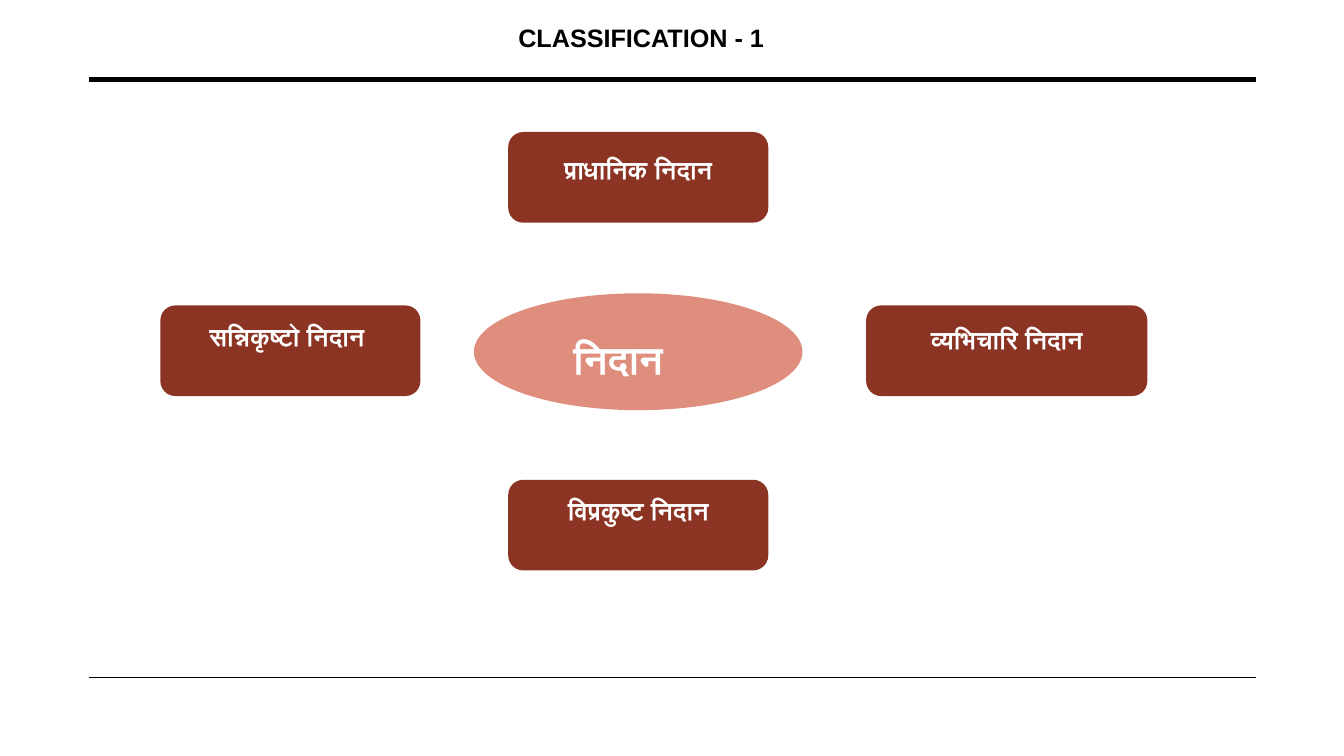
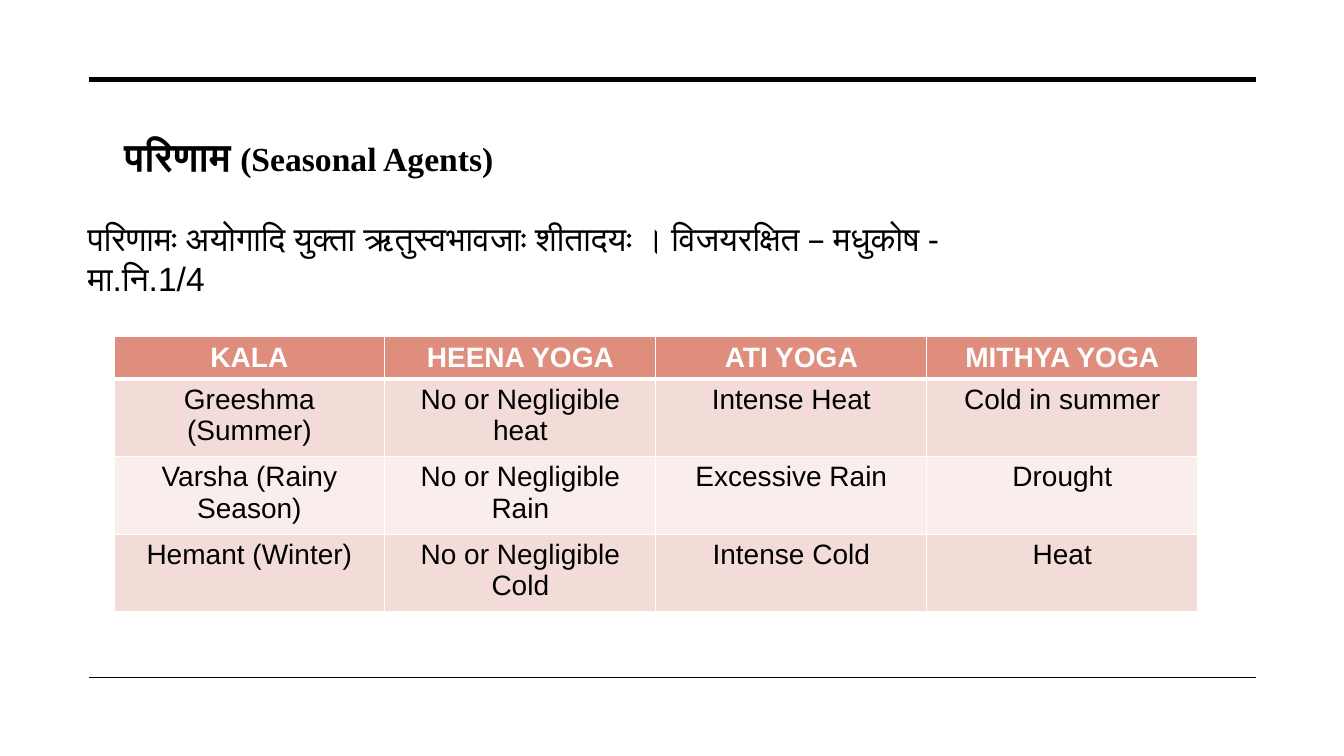
import dataclasses
import typing

import pptx
import pptx.dml.color
import pptx.enum.shapes
import pptx.enum.text
import pptx.oxml
import pptx.oxml.ns
import pptx.util

Inches = pptx.util.Inches
Pt = pptx.util.Pt
Shape = pptx.enum.shapes.MSO_SHAPE
Align = pptx.enum.text.PP_ALIGN
qn = pptx.oxml.ns.qn


@dataclasses.dataclass(frozen=True)
class Theme:
    ink: str = "000000"
    white: str = "FFFFFF"
    brick: str = "8C3423"
    coral: str = "DF8E7E"
    rose: str = "F3DBD8"
    blush: str = "F9EEEC"
    sans: str = "Arial"
    serif: str = "Times New Roman"
    label: int = 18
    cell: int = 20
    body: int = 24
    head: int = 28


class Rule(typing.NamedTuple):
    y: float
    width: float


class Part(typing.NamedTuple):
    text: str
    size: int
    face: str


class Node(typing.NamedTuple):
    text: str
    left: float
    top: float
    width: float
    height: float
    inset: tuple[float, float]
    kind: typing.Any = Shape.ROUNDED_RECTANGLE
    fill: str = Theme.brick
    size: int = Theme.label
    align: typing.Any = Align.CENTER


T = Theme()
RULES = (Rule(0.79, 3.5), Rule(6.72, 1))
NODES = (
    Node("निदान", 4.7, 2.91, 3.26, 1.16, (0.51, 0.25),
         Shape.OVAL, T.coral, T.head, Align.LEFT),
    Node("प्राधानिक निदान", 5.04, 1.31, 2.58, 0.9, (0.1, 0.18)),
    Node("सन्निकृष्टो निदान ", 1.59, 3.03, 2.58, 0.9, (0.1, 0.11)),
    Node("व्यभिचारि निदान", 8.59, 3.03, 2.79, 0.9, (0.1, 0.14)),
    Node("विप्रकुष्ट निदान", 5.04, 4.76, 2.58, 0.9, (0.1, 0.11)),
)
ROWS = (
    ("KALA", "HEENA YOGA", "ATI YOGA", "MITHYA YOGA"),
    ("Greeshma (Summer)", "No or Negligible heat", "Intense Heat",
     "Cold in summer"),
    ("Varsha (Rainy Season)", "No or Negligible Rain", "Excessive Rain",
     "Drought"),
    ("Hemant (Winter)", "No or Negligible Cold", "Intense Cold", "Heat"),
)


def rgb(code: str) -> pptx.dml.color.RGBColor:
    return pptx.dml.color.RGBColor.from_string(code)


def style(font: typing.Any, size: int, color: str, bold: bool = False) -> None:
    font.name = T.sans
    font.size = Pt(size)
    font.bold = bold
    font.color.rgb = rgb(color)


def frame(master: typing.Any, slide: typing.Any) -> None:
    for num, rule in enumerate(RULES, 20):
        line = slide.shapes.add_connector(
            pptx.enum.shapes.MSO_CONNECTOR.STRAIGHT,
            Inches(0.88), Inches(rule.y), Inches(12.46), Inches(rule.y))
        line.line.color.rgb = rgb(T.ink)
        line.line.width = Pt(rule.width)
        node = line.element
        node.find(qn("p:spPr")).append(
            pptx.oxml.parse_xml(
                f'<a:effectLst {pptx.oxml.ns.nsdecls("a")}/>'))
        node.find(f'{qn("p:nvCxnSpPr")}/{qn("p:cNvPr")}').set("id", str(num))
        master.shapes.element.append(node)


def place(hold: typing.Any, left: float, top: float,
          width: float, height: float) -> typing.Any:
    hold.left, hold.top = Inches(left), Inches(top)
    hold.width, hold.height = Inches(width), Inches(height)
    text = hold.text_frame
    text.auto_size = pptx.enum.text.MSO_AUTO_SIZE.NONE
    text.vertical_anchor = pptx.enum.text.MSO_ANCHOR.TOP
    text.word_wrap = True
    para = text.paragraphs[0]
    para.alignment = Align.LEFT
    para.space_before = Pt(0)
    return para


def draw(slide: typing.Any, node: Node) -> None:
    shape = slide.shapes.add_shape(
        node.kind, Inches(node.left), Inches(node.top),
        Inches(node.width), Inches(node.height))
    shape.shadow.inherit = False
    shape.fill.solid()
    shape.fill.fore_color.rgb = rgb(node.fill)
    shape.line.fill.background()
    text = shape.text_frame
    text.vertical_anchor = pptx.enum.text.MSO_ANCHOR.TOP
    text.margin_left, text.margin_top = map(Inches, node.inset)
    para = text.paragraphs[0]
    para.text = node.text
    para.alignment = node.align
    style(para.font, node.size, T.white, True)


def edge(cell: typing.Any, row: int) -> None:
    sides = {"L": 1, "R": 1, "T": 3 if row == 1 else 1,
             "B": 3 if row == 0 else 1}
    props = cell._tc.get_or_add_tcPr()
    for spot, (side, width) in enumerate(sides.items()):
        props.insert(spot, pptx.oxml.parse_xml(
            f'<a:ln{side} {pptx.oxml.ns.nsdecls("a")} w="{Pt(width)}">'
            f'<a:solidFill><a:srgbClr val="{T.white}"/></a:solidFill>'
            f'</a:ln{side}>'))


def grid(slide: typing.Any) -> None:
    table = slide.shapes.add_table(
        len(ROWS), len(ROWS[0]), Inches(1.13), Inches(3.34),
        Inches(10.75), Inches(2.73)).table
    fills = (T.coral, T.rose, T.blush, T.rose)
    for row, (words, fill) in enumerate(zip(ROWS, fills)):
        table.rows[row].height = Inches(0.77 if row else 0.42)
        for col, word in enumerate(words):
            cell = table.cell(row, col)
            cell.fill.solid()
            cell.fill.fore_color.rgb = rgb(fill)
            edge(cell, row)
            para = cell.text_frame.paragraphs[0]
            para.text = word
            para.alignment = Align.CENTER
            style(para.font, T.cell, T.ink if row else T.white, row == 0)


def kinds(deck: typing.Any) -> None:
    slide = deck.slides.add_slide(deck.slide_layouts[5])
    frame(deck.slide_master, slide)
    para = place(slide.shapes.title, 5.04, 0.17, 4.42, 0.4)
    para.text = "CLASSIFICATION - 1"
    style(para.font, T.label, T.ink, True)
    for node in NODES:
        draw(slide, node)


def season(deck: typing.Any) -> None:
    slide = deck.slides.add_slide(deck.slide_layouts[1])
    para = place(slide.shapes.title, 1.13, 1.26, 6.49, 0.57)
    style(para.font, T.body, T.ink, True)
    for part in (Part("परिणाम", T.head, T.sans), Part(" ", T.body, T.sans),
                 Part("(Seasonal Agents)", T.body, T.serif)):
        run = para.add_run()
        run.text = part.text
        run.font.size = Pt(part.size)
        run.font.name = part.face
    verse = place(slide.placeholders[1], 0.77, 2.11, 9.27, 0.91)
    verse.text = ("परिणामः अयोगादि युक्ता ऋतुस्वभावजाः शीतादयः । "
                  "विजयरक्षित – मधुकोष - मा.नि.1/4")
    props = verse._p.get_or_add_pPr()
    props.set("marL", "0")
    props.set("indent", "0")
    props.append(pptx.oxml.parse_xml(
        f'<a:buNone {pptx.oxml.ns.nsdecls("a")}/>'))
    style(verse.font, T.body, T.ink)
    grid(slide)


def main() -> None:
    deck = pptx.Presentation()
    deck.slide_width = Inches(13.33)
    deck.slide_height = Inches(7.5)
    kinds(deck)
    season(deck)
    deck.save("out.pptx")


if __name__ == "__main__":
    main()
